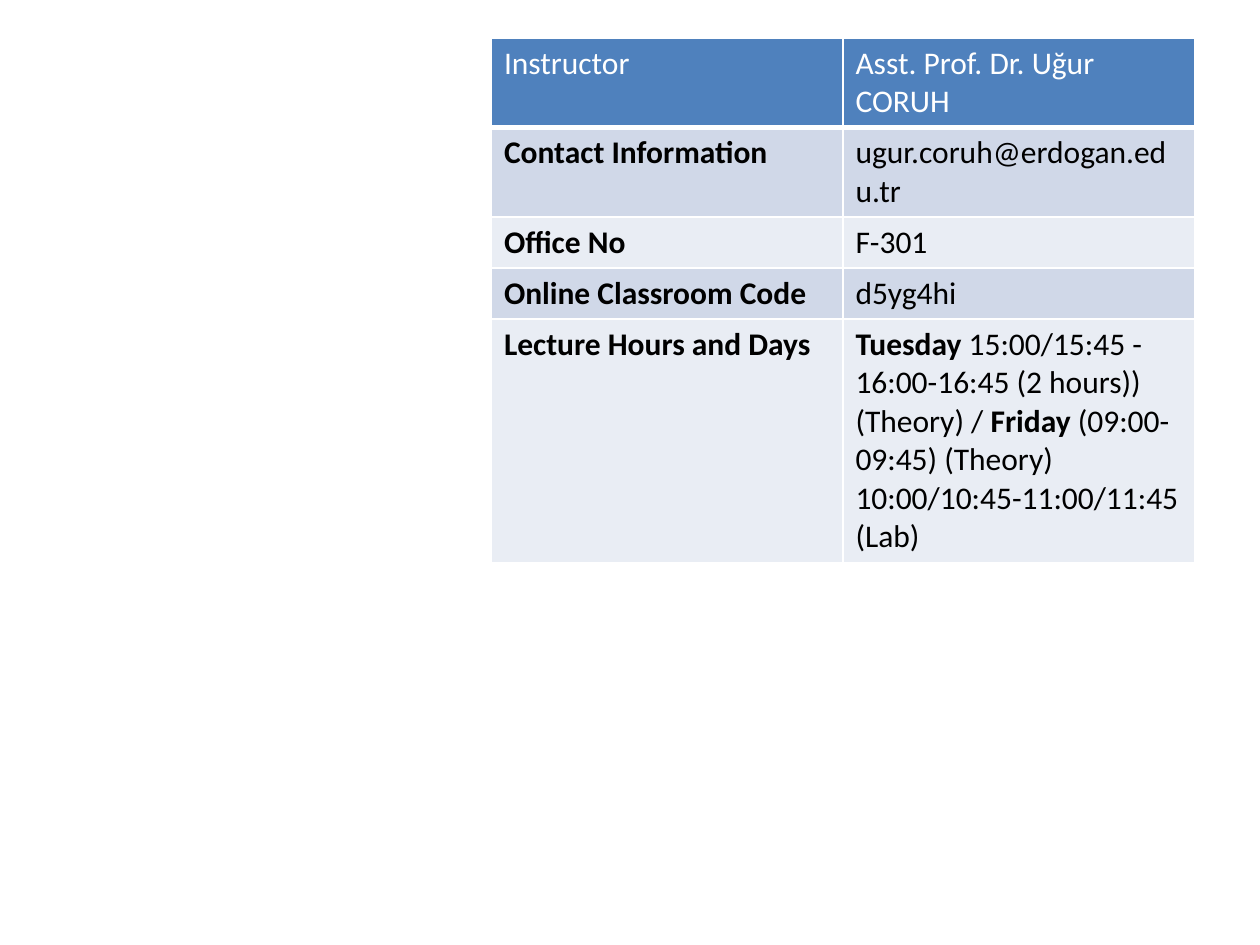
from lxml.etree import SubElement
from pptx import Presentation
from pptx.dml.color import RGBColor
from pptx.oxml.ns import qn
from pptx.util import Pt

# Content: each cell is a list of (text, bold) runs
ROWS = [
    ([("Instructor", False)], [("Asst. Prof. Dr. Uğur CORUH", False)]),
    ([("Contact Information", True)], [("ugur.coruh@erdogan.edu.tr", False)]),
    ([("Office No", True)], [("F-301", False)]),
    ([("Online Classroom Code", True)], [("d5yg4hi", False)]),
    ([("Lecture Hours and Days", True)],
     [("Tuesday", True),
      (" 15:00/15:45 - 16:00-16:45 (2 hours)) (Theory) / ", False),
      ("Friday", True),
      (" (09:00-09:45) (Theory) 10:00/10:45-11:00/11:45 (Lab)", False)]),
]
LINES = [2, 2, 1, 1, 6]  # text lines in each row

# Style
FONT, SIZE = "Calibri", 18
WHITE = RGBColor(0xFF, 0xFF, 0xFF)
BLACK = RGBColor(0, 0, 0)
HEADER = RGBColor(0x4F, 0x81, 0xBD)
BANDS = [RGBColor(0xD0, 0xD8, 0xE8), RGBColor(0xE9, 0xED, 0xF4)]

# Layout in points
LEFT, TOP, COL_W = 280.8, 21.6, 200.88
LINE_H, PADDING = 21.97, 7.2


def set_borders(cell, bottom):
    """Draw white cell borders; they must come before the fill in the XML."""
    tc_pr = cell._tc.get_or_add_tcPr()
    for side, width in (("L", 1), ("R", 1), ("T", 1), ("B", bottom)):
        ln = SubElement(tc_pr, qn(f"a:ln{side}"), w=str(Pt(width)))
        fill = SubElement(ln, qn("a:solidFill"))
        SubElement(fill, qn("a:srgbClr"), val=str(WHITE))


def fill_cell(cell, runs, fill, color, bottom):
    set_borders(cell, bottom)
    cell.fill.solid()
    cell.fill.fore_color.rgb = fill
    p = cell.text_frame.paragraphs[0]
    for text, bold in runs:
        r = p.add_run()
        r.text = text
        r.font.name, r.font.size, r.font.bold = FONT, Pt(SIZE), bold
        r.font.color.rgb = color


prs = Presentation()
prs.slide_width, prs.slide_height = Pt(720), Pt(540)
s = prs.slides.add_slide(prs.slide_layouts[6])

# Course information table
heights = [PADDING + n * LINE_H for n in LINES]
table = s.shapes.add_table(len(ROWS), 2, Pt(LEFT), Pt(TOP),
                           Pt(2 * COL_W), Pt(sum(heights))).table
for col in table.columns:
    col.width = Pt(COL_W)
for i, (row, height) in enumerate(zip(ROWS, heights)):
    table.rows[i].height = Pt(height)
    is_header = i == 0
    fill = HEADER if is_header else BANDS[(i - 1) % 2]
    color = WHITE if is_header else BLACK
    for j, runs in enumerate(row):
        fill_cell(table.cell(i, j), runs, fill, color, 3 if is_header else 1)

prs.save("out.pptx")
